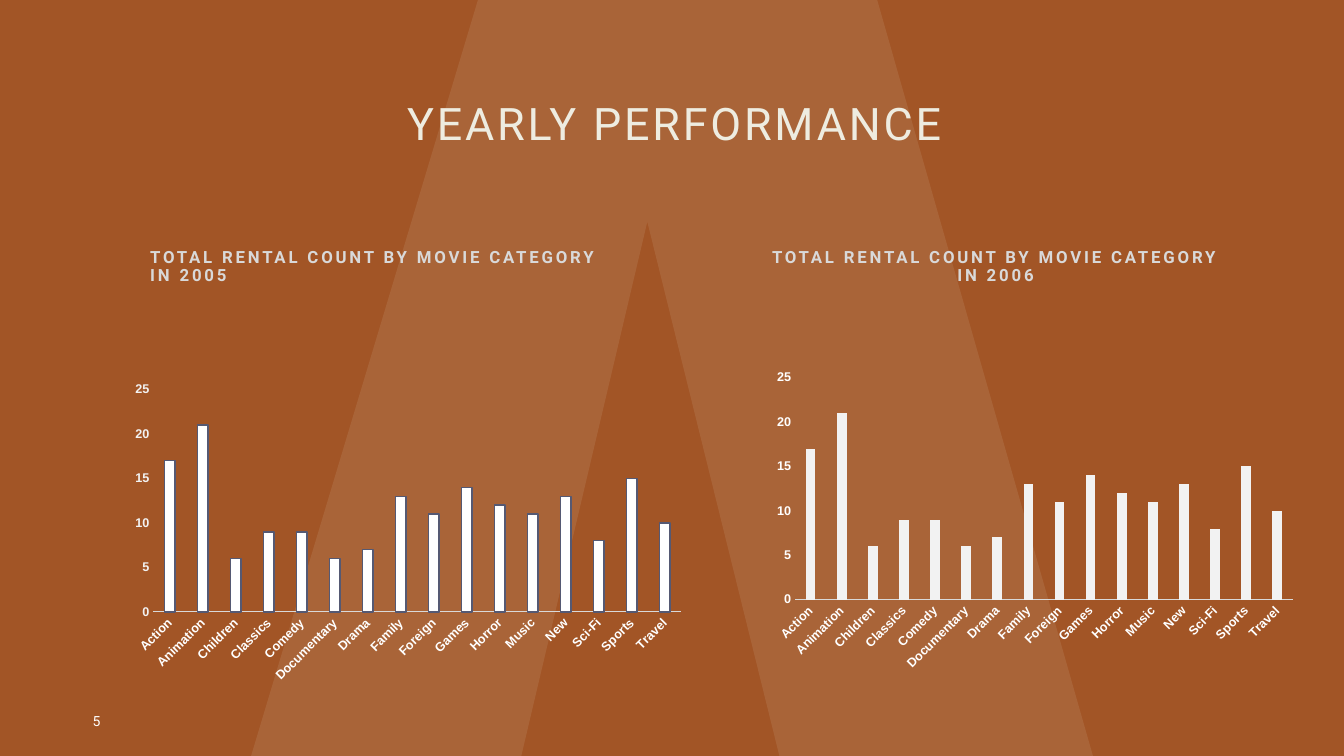
from pptx import Presentation
from pptx.chart.data import CategoryChartData as Data
from pptx.dml.color import RGBColor
from pptx.enum.chart import XL_CHART_TYPE as Kind, XL_TICK_MARK as Tick
from pptx.enum.text import MSO_ANCHOR as Anchor, MSO_AUTO_SIZE as Fit, PP_ALIGN as Align
from pptx.oxml import parse_xml
from pptx.oxml.ns import nsdecls
from pptx.util import Pt

PX = 9144


def paint(target, code):
    target.rgb = RGBColor.from_string(code)


def write(box, area, text, size, code, align, anchor, bold=False, lead=0.9):
    box.left, box.top, box.width, box.height = [n * PX for n in area]
    frame = box.text_frame
    frame.text = text
    frame.word_wrap = True
    frame.auto_size = Fit.NONE
    frame.vertical_anchor = anchor
    para = frame.paragraphs[0]
    para.alignment = align
    para.line_spacing = lead
    para.space_before = Pt(0)
    font = para.runs[0].font
    font.name, font.size, font.bold = "Roboto", Pt(size), bold
    paint(font.color, code)
    para.runs[0]._r.get_or_add_rPr().set("spc", "200")


deck = Presentation()
deck.slide_width, deck.slide_height = 1333 * PX, 750 * PX
slide = deck.slides.add_slide(deck.slide_layouts[4])
slide.background.fill.solid()
paint(slide.background.fill.fore_color, "A25526")
shapes = slide.shapes
holders = {h.placeholder_format.idx: h for h in slide.placeholders}
for idx in (2, 4):
    spare = holders[idx].element
    spare.getparent().remove(spare)

pen = shapes.build_freeform(474, 0, scale=PX)
pen.add_line_segments(
    [(249, 750), (517, 750), (642, 220), (773, 750), (1084, 750), (870, 0)], close=True)
band = pen.convert_to_shape()
band.shadow.inherit = False
band.line.fill.background()
band.fill.solid()
paint(band.fill.fore_color, "EEECE0")
tint = band.element.spPr.xpath("./a:solidFill/a:srgbClr")[0]
tint.append(parse_xml(f'<a:alpha {nsdecls("a")} val="10000"/>'))
band.element.getparent().insert(2, band.element)

write(shapes.title, (94, 98, 1150, 54), "YEARLY PERFORMANCE", 32, "EEECE0",
      Align.CENTER, Anchor.MIDDLE)
heads = [(1, 139, 2005, Align.LEFT), (3, 748, 2006, Align.CENTER)]
for idx, left, year, align in heads:
    write(holders[idx], (left, 242, 479, 46),
          f"TOTAL RENTAL COUNT BY MOVIE CATEGORY IN {year}", 12, "D9D9D9",
          align, Anchor.TOP, bold=True)
write(shapes.add_textbox(0, 0, PX, PX), (82, 695, 300, 40), "5", 10, "FFFFFF",
      Align.LEFT, Anchor.MIDDLE, lead=1.0)

counts = {
    "Action": 17, "Animation": 21, "Children": 6, "Classics": 9, "Comedy": 9,
    "Documentary": 6, "Drama": 7, "Family": 13, "Foreign": 11, "Games": 14,
    "Horror": 12, "Music": 11, "New": 13, "Sci-Fi": 8, "Sports": 15, "Travel": 10,
}
data = Data()
data.categories = list(counts)
data.add_series("Series 1", list(counts.values()))

charts = [
    ((123, 373, 564, 311), "FFFFFF", "555973", "F2F2F2"),
    ((760, 361, 533, 311), "F2F2F2", None, "FFFFFF"),
]
for area, fill, edge, ink in charts:
    chart = shapes.add_chart(Kind.COLUMN_CLUSTERED, *[n * PX for n in area], data).chart
    chart.has_legend = False
    chart.has_title = False
    chart.font.name, chart.font.size = "Arial", Pt(10)
    paint(chart.font.color, "FFFFFF")
    clear = f'<c:spPr {nsdecls("c", "a")}><a:noFill/><a:ln><a:noFill/></a:ln></c:spPr>'
    root = chart._chartSpace
    root.xpath("./c:chart")[0].addnext(parse_xml(clear))
    root.xpath(".//c:plotArea")[0].append(parse_xml(clear))

    plot = chart.plots[0]
    plot.gap_width, plot.overlap = 219, -27
    plot.vary_by_categories = False
    bars = plot.series[0].format
    bars.fill.solid()
    paint(bars.fill.fore_color, fill)
    if edge:
        bars.line.width = Pt(1)
        paint(bars.line.color, edge)
    else:
        bars.line.fill.background()

    for axis, code in ((chart.category_axis, "FFFFFF"), (chart.value_axis, ink)):
        axis.has_major_gridlines = False
        axis.major_tick_mark = axis.minor_tick_mark = Tick.NONE
        font = axis.tick_labels.font
        font.name, font.size, font.bold = "Arial", Pt(9), True
        paint(font.color, code)
    root.xpath(".//c:catAx/c:txPr/a:bodyPr")[0].set("rot", "-2700000")
    base = chart.category_axis.format.line
    base.width = Pt(0.75)
    paint(base.color, "D9D9D9")
    scale = chart.value_axis
    scale.format.line.fill.background()
    scale.minimum_scale, scale.maximum_scale, scale.major_unit = 0, 25, 5

deck.save("out.pptx")
